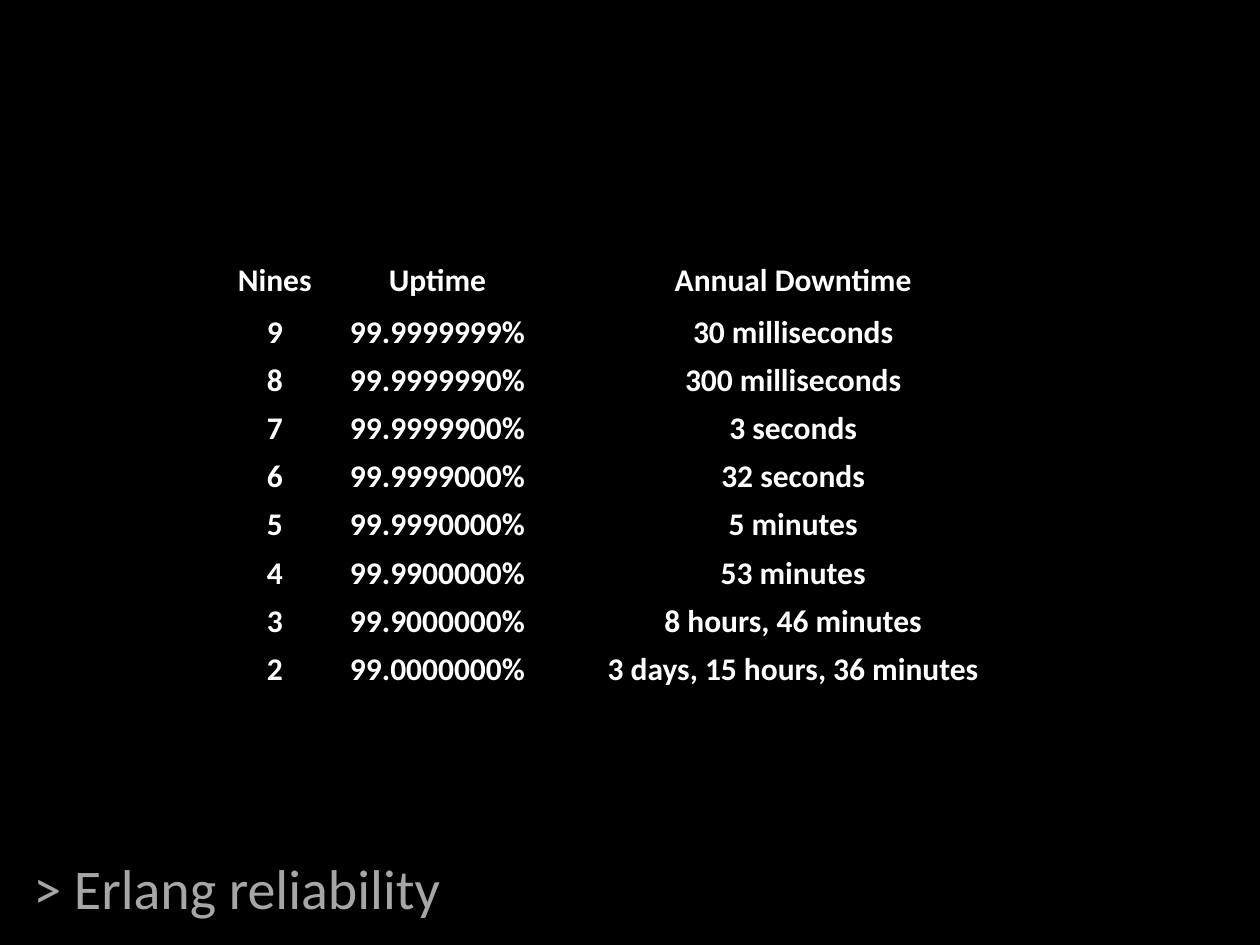
"""Build a slide listing the annual downtime for each level of uptime."""
from dataclasses import astuple, dataclass

from pptx import Presentation
from pptx.dml.color import RGBColor
from pptx.enum.text import MSO_ANCHOR, PP_ALIGN
from pptx.slide import Slide
from pptx.table import _Cell
from pptx.text.text import _Paragraph
from pptx.util import Pt

MIDDLE = MSO_ANCHOR.MIDDLE
CENTER = PP_ALIGN.CENTER
BLACK = RGBColor(0x00, 0x00, 0x00)
WHITE = RGBColor(0xFF, 0xFF, 0xFF)
GRAY = RGBColor(0xA6, 0xA6, 0xA6)
FONT_NAME = "Calibri"
NO_STYLE_NO_GRID = "{2D5ABB26-0587-4C30-8999-92F81FD0307C}"
COLUMN_WIDTHS = (56, 130, 276.5)
HEADER_HEIGHT = 32
ROW_HEIGHT = 27.5
CELL_INSET = 0.7


@dataclass(frozen=True)
class Reliability:
    nines: str
    uptime: str
    downtime: str


HEADER = Reliability("Nines", "Uptime", "Annual Downtime")
LEVELS = (
    Reliability("9", "99.9999999%", "30 milliseconds"),
    Reliability("8", "99.9999990%", "300 milliseconds"),
    Reliability("7", "99.9999900%", "3 seconds"),
    Reliability("6", "99.9999000%", "32 seconds"),
    Reliability("5", "99.9990000%", "5 minutes"),
    Reliability("4", "99.9900000%", "53 minutes"),
    Reliability("3", "99.9000000%", "8 hours, 46 minutes"),
    Reliability("2", "99.0000000%", "3 days, 15 hours, 36 minutes"),
)


def format_runs(paragraph: _Paragraph, size: float, color: RGBColor, bold: bool) -> None:
    for run in paragraph.runs:
        run.font.name = FONT_NAME
        run.font.size = Pt(size)
        run.font.bold = bold
        run.font.color.rgb = color


def add_title(slide: Slide, text: str) -> None:
    shape = slide.shapes.add_textbox(Pt(12), Pt(480), Pt(696), Pt(54))
    text_frame = shape.text_frame
    text_frame.word_wrap = True
    text_frame.vertical_anchor = MIDDLE
    text_frame.text = text
    format_runs(text_frame.paragraphs[0], 32, GRAY, False)


def fill_cell(cell: _Cell, text: str) -> None:
    cell.fill.solid()
    cell.fill.fore_color.rgb = BLACK
    cell.vertical_anchor = MIDDLE
    cell.margin_left = cell.margin_right = cell.margin_top = Pt(CELL_INSET)
    cell.margin_bottom = Pt(0)
    cell.text_frame.text = text
    paragraph = cell.text_frame.paragraphs[0]
    paragraph.alignment = CENTER
    format_runs(paragraph, 18, WHITE, True)


def add_reliability_table(slide: Slide, levels: tuple[Reliability, ...]) -> None:
    height = HEADER_HEIGHT + ROW_HEIGHT * (len(levels) - 1)
    table = slide.shapes.add_table(
        len(levels), len(COLUMN_WIDTHS),
        Pt(129), Pt(144), Pt(sum(COLUMN_WIDTHS)), Pt(height),
    ).table
    table.horz_banding = False
    table._tbl.tblPr[0].text = NO_STYLE_NO_GRID
    for column, width in zip(table.columns, COLUMN_WIDTHS):
        column.width = Pt(width)
    for index, (row, level) in enumerate(zip(table.rows, levels)):
        row.height = Pt(ROW_HEIGHT if index else HEADER_HEIGHT)
        for cell, text in zip(row.cells, astuple(level)):
            fill_cell(cell, text)


def main() -> None:
    presentation = Presentation()
    presentation.slide_width = Pt(720)
    presentation.slide_height = Pt(540)
    slide = presentation.slides.add_slide(presentation.slide_layouts[6])
    slide.background.fill.solid()
    slide.background.fill.fore_color.rgb = BLACK
    add_title(slide, "> Erlang reliability")
    add_reliability_table(slide, (HEADER, *LEVELS))
    presentation.save("out.pptx")


if __name__ == "__main__":
    main()
